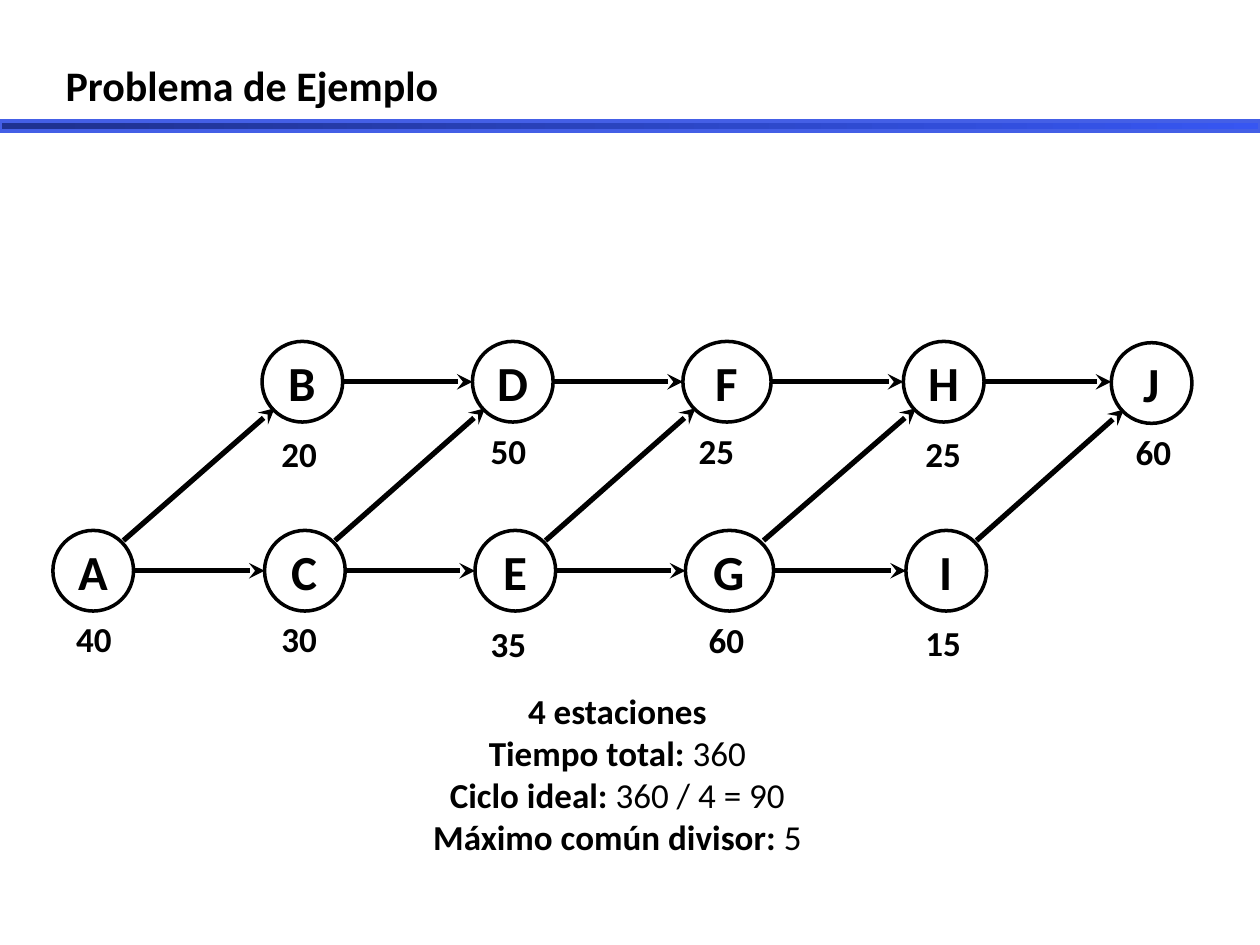
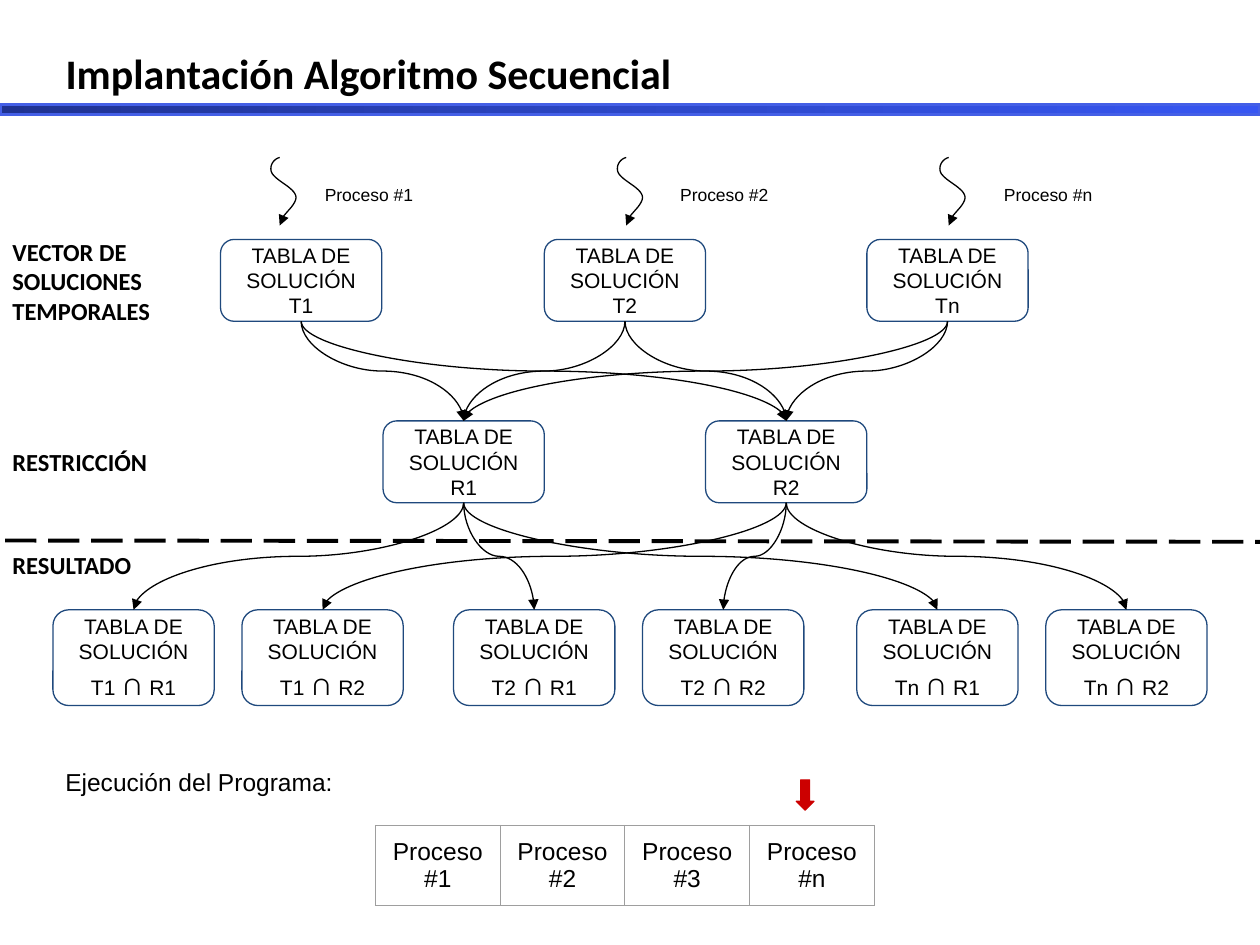
from dataclasses import dataclass
from itertools import product

from lxml import etree
from pptx import Presentation
from pptx.dml.color import RGBColor
from pptx.enum.dml import MSO_LINE
from pptx.enum.shapes import MSO_CONNECTOR, MSO_SHAPE
from pptx.enum.text import MSO_ANCHOR, MSO_AUTO_SIZE, PP_ALIGN
from pptx.oxml.ns import qn
from pptx.util import Inches, Pt

LEFT, CENTER = PP_ALIGN.LEFT, PP_ALIGN.CENTER
TOP, MIDDLE = MSO_ANCHOR.TOP, MSO_ANCHOR.MIDDLE
NO_AUTOFIT = MSO_AUTO_SIZE.NONE
STRAIGHT, CURVE = MSO_CONNECTOR.STRAIGHT, MSO_CONNECTOR.CURVE
RECT, ELLIPSE = MSO_SHAPE.RECTANGLE, MSO_SHAPE.OVAL
ROUNDED, DOWN_ARROW = MSO_SHAPE.ROUNDED_RECTANGLE, MSO_SHAPE.DOWN_ARROW
LONG_DASH = MSO_LINE.LONG_DASH
TOP_SIDE, BOTTOM_SIDE = 0, 2


@dataclass(frozen=True)
class Theme:
    head: str = "Calibri"
    body: str = "Arial"
    ink: str = "000000"
    paper: str = "FFFFFF"
    box_line: str = "1F497D"
    band_line: str = "445FE6"
    band_dark: str = "1F3291"
    band_mid: str = "2D48CA"
    band_light: str = "3756F2"
    marker: str = "CC0000"
    grid: str = "9E9E9E"
    title: int = 24
    node: int = 28
    figure: int = 20
    intersection: int = 18
    section: int = 14
    box: int = 12
    process: int = 10
    thin: float = 0.75


T = Theme()

EXAMPLE = dict(
    title="Problema de Ejemplo",
    title_top=0.42,
    band_top=0.96,
    band_stops=[(0, T.band_dark), (4, T.band_dark), (59, T.band_mid), (100, T.band_light)],
)
NODE_HEIGHT = 0.64
TASKS = {
    "A": dict(at=(0.42, 4.21), time="40", time_at=(0.5, 4.85)),
    "B": dict(at=(2.08, 2.71), time="20", time_at=(2.13, 3.38)),
    "C": dict(at=(2.1, 4.21), time="30", time_at=(2.13, 4.85)),
    "D": dict(at=(3.75, 2.71), time="50", time_at=(3.79, 3.36)),
    "E": dict(at=(3.77, 4.21), time="35", time_at=(3.79, 4.89)),
    "F": dict(at=(5.42, 2.71), time="25", time_at=(5.44, 3.36), width=0.7),
    "G": dict(at=(5.44, 4.21), time="60", time_at=(5.52, 4.86), width=0.7),
    "H": dict(at=(7.17, 2.71), time="25", time_at=(7.24, 3.38)),
    "I": dict(at=(7.19, 4.21), time="15", time_at=(7.24, 4.88)),
    "J": dict(at=(8.82, 2.72), time="60", time_at=(8.91, 3.37)),
}
PRECEDENCES = ["AC", "CE", "EG", "GI", "BD", "DF", "FH", "HJ", "AB", "CD", "EF", "GH", "IJ"]
SUMMARY = [
    [("4 estaciones", {"bold": True})],
    [("Tiempo total: ", {"bold": True}), ("360", {})],
    [("Ciclo ideal: ", {"bold": True}), ("360 / 4 = 90", {})],
    [("Máximo común divisor: ", {"bold": True}), ("5", {})],
]

ALGORITHM = dict(
    title="Implantación Algoritmo Secuencial",
    title_top=0.33,
    band_top=0.83,
    band_stops=[(0, T.band_dark), (54, T.band_mid), (100, T.band_light)],
)
BOX_TEXT = "TABLA DE SOLUCIÓN "
BOX_WIDTH, BOX_HEIGHT, RESULT_HEIGHT = 1.28, 0.65, 0.76
TEMPORARIES = {"T1": 1.75, "T2": 4.32, "Tn": 6.88}
RESTRICTIONS = {"R1": 3.04, "R2": 5.6}
RESULT_GROUPS = {"T1": 0.42, "T2": 3.6, "Tn": 6.8}
RESULT_STEP = 1.5
PROCESSES = [("Proceso #1", 2.22, 2.48), ("Proceso #2", 4.97, 5.3), ("Proceso #n", 7.53, 7.87)]
THREAD = [
    ((0, 0), (-0.07, 0.02), (-0.09, 0.1), (-0.05, 0.14)),
    ((-0.05, 0.14), (0, 0.2), (0.13, 0.25), (0.13, 0.32)),
    ((0.13, 0.32), (0.12, 0.4), (0, 0.46), (0, 0.54)),
]
SECTIONS = [
    ("VECTOR DE SOLUCIONES TEMPORALES", 1.85, 0.76),
    ("RESTRICCIÓN", 3.47, 0.39),
    ("RESULTADO", 4.29, 0.39),
]
EXECUTION = ["Proceso #1", "Proceso #2", "Proceso #3", "Proceso #n"]


def rgb(color):
    return RGBColor.from_string(color)


def inches(values):
    return [Inches(round(value, 3)) for value in values]


def write(shape, text, size, font=T.head, bold=False, align=LEFT, anchor=TOP,
          inset=(0.1, 0.05), wrap=True):
    frame = shape.text_frame
    frame.auto_size = NO_AUTOFIT
    frame.word_wrap = wrap
    frame.vertical_anchor = anchor
    frame.margin_left = frame.margin_right = Inches(inset[0])
    frame.margin_top = frame.margin_bottom = Inches(inset[1])
    paragraphs = [[(text, {})]] if isinstance(text, str) else text
    for index, runs in enumerate(paragraphs):
        paragraph = frame.add_paragraph() if index else frame.paragraphs[0]
        paragraph.alignment = align
        paragraph.space_before = Pt(0)
        for words, change in runs:
            run = paragraph.add_run()
            run.text = words
            run.font.size = Pt(change.get("size", size))
            run.font.name = change.get("font", font)
            run.font.bold = change.get("bold", bold)
            run.font.color.rgb = rgb(T.ink)


def add_label(slide, text, box, **style):
    write(slide.shapes.add_textbox(*inches(box)), text, **style)


def place(shape, box):
    shape.left, shape.top, shape.width, shape.height = inches(box)


def stroke(shape, color, width):
    shape.line.color.rgb = rgb(color)
    shape.line.width = Pt(width)


def add_figure(slide, kind, box, fill, line, width):
    shape = slide.shapes.add_shape(kind, *inches(box))
    shape.shadow.inherit = False
    shape.fill.solid()
    shape.fill.fore_color.rgb = rgb(fill)
    stroke(shape, line, width)
    return shape


def add_arrowhead(shape, kind):
    etree.SubElement(shape.line._get_or_add_ln(), qn("a:tailEnd"), type=kind)


def add_line(slide, kind, start, end, width, head=None, dash=None):
    line = slide.shapes.add_connector(kind, *inches(start + end))
    stroke(line, T.ink, width)
    if dash:
        line.line.dash_style = dash
    if head:
        add_arrowhead(line, head)
    etree.SubElement(line._element.spPr, qn("a:effectLst"))
    return line


def add_flow(slide, source, target):
    flow = add_line(slide, CURVE, (0, 0), (1, 1), T.thin, head="triangle")
    flow.begin_connect(source, BOTTOM_SIDE)
    flow.end_connect(target, TOP_SIDE)
    start_x, start_y = source.left + source.width // 2, source.top + source.height
    end_x, end_y = target.left + target.width // 2, target.top
    run, drop = abs(end_x - start_x), end_y - start_y
    flow.left, flow.top = (start_x + end_x - drop) // 2, (start_y + end_y - run) // 2
    flow.width, flow.height = drop, run
    rightward = end_x > start_x
    xfrm = flow._element.spPr.find(qn("a:xfrm"))
    xfrm.set("rot", str((270 if rightward else 90) * 60000))
    xfrm.set("flipH", "1" if rightward else "0")
    xfrm.set("flipV", "0")


def start_slide(deck, layout, content):
    slide = deck.slides.add_slide(deck.slide_layouts[layout])
    title = slide.shapes.title
    place(title, (0.42, content["title_top"], 8.92, 0.5))
    write(title, content["title"], T.title, bold=True)
    band = add_figure(slide, RECT, (0, content["band_top"], 10, 0.08),
                      T.band_mid, T.band_line, 2)
    band.fill.gradient()
    band.fill.gradient_angle = 0
    stops = band._element.spPr.find(qn("a:gradFill")).find(qn("a:gsLst"))
    stops.clear()
    for position, color in content["band_stops"]:
        stop = etree.SubElement(stops, qn("a:gs"), pos=str(position * 1000))
        etree.SubElement(stop, qn("a:srgbClr"), val=color)
    return slide


def precedence_ends(before, after):
    (x1, y1), (x2, y2) = before["at"], after["at"]
    right = x1 + before.get("width", NODE_HEIGHT)
    if abs(y1 - y2) < NODE_HEIGHT:
        middle = y1 + NODE_HEIGHT / 2
        return (right, middle), (x2, middle)
    return (right - 0.08, y1 + 0.08), (x2 + 0.1, y2 + 0.53)


def build_example(deck):
    slide = start_slide(deck, 1, EXAMPLE)
    for name, task in TASKS.items():
        box = (*task["at"], task.get("width", NODE_HEIGHT), NODE_HEIGHT)
        node = add_figure(slide, ELLIPSE, box, T.paper, T.ink, 2)
        write(node, name, T.node, bold=True, align=CENTER, anchor=MIDDLE, wrap=False)
        add_label(slide, task["time"], (*task["time_at"], 0.49, 0.44),
                  size=T.figure, bold=True, align=CENTER, wrap=False)
    for before, after in PRECEDENCES:
        start, end = precedence_ends(TASKS[before], TASKS[after])
        add_line(slide, STRAIGHT, start, end, 3, head="stealth")
    summary = slide.placeholders[1]
    place(summary, (3.32, 5.42, 3.16, 1.5))
    write(summary, SUMMARY, T.figure, align=CENTER)
    for paragraph in summary.text_frame.paragraphs:
        properties = paragraph._p.get_or_add_pPr()
        properties.set("marL", "0")
        properties.set("indent", "0")
        etree.SubElement(properties, qn("a:buNone"))


def add_solution(slide, runs, x, y, height):
    solution = add_figure(slide, ROUNDED, (x, y, BOX_WIDTH, height),
                          T.paper, T.box_line, T.thin)
    write(solution, [runs], T.box, font=T.body, align=CENTER, anchor=MIDDLE, inset=(0.1, 0.1))
    return solution


def add_thread(slide, x, y, steps=12):
    points = []
    for a, b, c, d in THREAD:
        for step in range(1, steps + 1):
            t = step / steps
            weights = ((1 - t) ** 3, 3 * t * (1 - t) ** 2, 3 * t * t * (1 - t), t ** 3)
            px, py = (sum(w * p[axis] for w, p in zip(weights, (a, b, c, d)))
                      for axis in (0, 1))
            points.append((Inches(x + px), Inches(y + py)))
    outline = slide.shapes.build_freeform(Inches(x), Inches(y))
    outline.add_line_segments(points, close=False)
    thread = outline.convert_to_shape()
    thread.shadow.inherit = False
    thread.fill.background()
    stroke(thread, T.ink, T.thin)
    add_arrowhead(thread, "triangle")


def add_execution(slide):
    column, height = 0.99, 0.63
    box = (2.98, 6.55, column * len(EXECUTION), height)
    table = slide.shapes.add_table(1, len(EXECUTION), *inches(box)).table
    table.first_row = table.horz_banding = False
    for index, process in enumerate(EXECUTION):
        table.columns[index].width = Inches(column)
        cell = table.cell(0, index)
        cell.margin_left = cell.margin_right = Inches(0.1)
        cell.margin_top = cell.margin_bottom = Inches(0.1)
        paragraph = cell.text_frame.paragraphs[0]
        paragraph.alignment = CENTER
        run = paragraph.add_run()
        run.text = process
        run.font.size, run.font.name = Pt(T.section), T.body
        run.font.color.rgb = rgb(T.ink)
        properties = cell._tc.get_or_add_tcPr()
        for side in ("a:lnL", "a:lnR", "a:lnT", "a:lnB"):
            border = etree.SubElement(properties, qn(side), w=str(Pt(T.thin)))
            fill = etree.SubElement(border, qn("a:solidFill"))
            etree.SubElement(fill, qn("a:srgbClr"), val=T.grid)
        cell.fill.background()


def build_algorithm(deck):
    slide = start_slide(deck, 5, ALGORITHM)
    spaced = dict(font=T.body, inset=(0.1, 0.1))
    for process, thread_x, label_x in PROCESSES:
        add_thread(slide, thread_x, 1.25)
        add_label(slide, process, (label_x, 1.36, 1.03, 0.32), size=T.process, **spaced)
    temporaries, restrictions = (
        {name: add_solution(slide, [(BOX_TEXT + name, {})], x, y, BOX_HEIGHT)
         for name, x in row.items()}
        for row, y in ((TEMPORARIES, 1.9), (RESTRICTIONS, 3.34)))
    for temporary, restriction in product(temporaries.values(), restrictions.values()):
        add_flow(slide, temporary, restriction)
    for temporary, group_x in RESULT_GROUPS.items():
        for index, (name, restriction) in enumerate(restrictions.items()):
            runs = [(f"{BOX_TEXT}{temporary} ", {}),
                    ("∩", dict(size=T.intersection, font=T.head)),
                    (f" {name}", {})]
            result = add_solution(slide, runs, group_x + index * RESULT_STEP, 4.84, RESULT_HEIGHT)
            add_flow(slide, restriction, result)
    for section, top, height in SECTIONS:
        add_label(slide, section, (0, top, 1.59, height), size=T.section, bold=True,
                  anchor=MIDDLE, inset=(0.1, 0.1))
    add_line(slide, STRAIGHT, (0.04, 4.29), (10.03, 4.3), 2.25, dash=LONG_DASH)
    add_label(slide, "Ejecución del Programa:", (0.42, 5.99, 2.79, 0.65), size=T.section, **spaced)
    add_figure(slide, DOWN_ARROW, (6.32, 6.19, 0.14, 0.24), T.marker, T.marker, T.thin)
    add_execution(slide)


def main():
    deck = Presentation()
    deck.slide_width, deck.slide_height = Inches(10), Inches(7.5)
    build_example(deck)
    build_algorithm(deck)
    deck.save("out.pptx")


if __name__ == "__main__":
    main()
